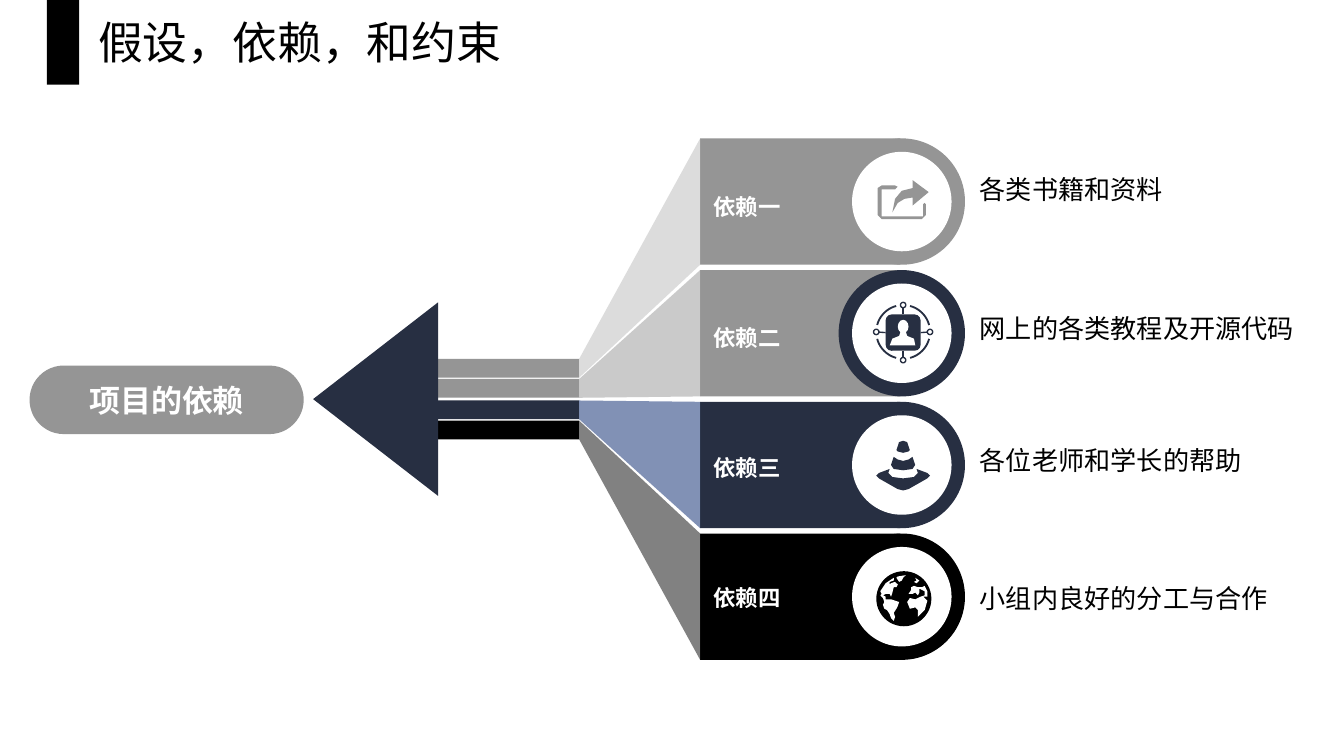
from dataclasses import dataclass
from math import cos, radians, sin

from lxml import etree
from pptx import Presentation
from pptx.dml.color import RGBColor
from pptx.enum.shapes import MSO_CONNECTOR, MSO_SHAPE as Shape
from pptx.enum.text import MSO_ANCHOR as Anchor, MSO_AUTO_SIZE as AutoSize, PP_ALIGN as Align
from pptx.oxml.ns import qn
from pptx.util import Pt

PX = 9144  # EMU per px, 100 px to the inch
SLIDE_WIDTH = 1000
FONT = "Noto Sans CJK SC"
BLACK, WHITE, NAVY, GRAY = "000000", "FFFFFF", "272F42", "959595"

BAND_LEFT, BAND_TOP, BAND_PITCH, BAND_HEIGHT = 521, 103, 98, 94
STRIPE_LEFT, STRIPE_RIGHT, STRIPE_TOP, STRIPE_PITCH, STRIPE_HEIGHT = 317, 431, 267, 15.4, 14
DISC_LEFT, DISC_INSET = 624, 10

Points = list[tuple[float, float]]


@dataclass
class Dependency:
    label: str
    note: str
    note_top: int
    band: str
    ring: str
    ribbon: str


DEPENDENCIES = [
    Dependency("依赖一", "各类书籍和资料", 124, GRAY, GRAY, "D5D5D5"),
    Dependency("依赖二", "网上的各类教程及开源代码", 228, GRAY, NAVY, "BFBFBF"),
    Dependency("依赖三", "各位老师和学长的帮助", 326, NAVY, NAVY, "6679A5"),
    Dependency("依赖四", "小组内良好的分工与合作", 429, BLACK, BLACK, "666666"),
]

# Icon outlines
SHARE_TRAY = [(686, 163), (656, 163), (653, 160), (653, 140), (656, 138), (666, 138), (668, 139),
              (666, 141), (656, 141), (656, 161), (687, 161), (687, 152), (688, 151), (689, 152),
              (689, 160)]
SHARE_ARROW = [(679, 153), (691, 143), (679, 134), (679, 140), (671, 142), (666, 148), (664, 158),
               (668, 151), (673, 148), (679, 147)]
PERSON_BODY = [(662, 257), (664, 252), (669, 250), (670, 247), (674, 247), (675, 250), (680, 252),
               (681, 257)]
CONE = [
    [(690, 352), (682, 349), (683, 352), (680, 355), (672, 356), (664, 355), (661, 352), (662, 349),
     (654, 352), (652, 354), (654, 356), (668, 364), (672, 365), (676, 364), (690, 356), (692, 354)],
    [(672, 337), (676, 336), (677, 335), (675, 329), (672, 328), (669, 329), (667, 335), (668, 336)],
    [(672, 350), (679, 349), (681, 346), (679, 340), (676, 342), (672, 343), (668, 342), (665, 340),
     (663, 346), (665, 349)],
]
CONTINENTS = [
    [(668, 451), (667, 453), (665, 456), (666, 459), (665, 462), (663, 460), (662, 457), (660, 454),
     (658, 453), (657, 450), (658, 448), (657, 445), (655, 443), (656, 442), (655, 440), (659, 434),
     (665, 430), (665, 432), (662, 433), (662, 435), (663, 434), (666, 433), (668, 435), (667, 437),
     (665, 437), (664, 441), (663, 444), (662, 442), (659, 442), (657, 443), (659, 444), (659, 446),
     (663, 446), (666, 447), (669, 448)],
    [(672, 430), (671, 432), (669, 433), (667, 430), (668, 429), (674, 428)],
    [(689, 446), (690, 447), (688, 454), (683, 459), (683, 454), (681, 452), (677, 453), (675, 448),
     (677, 445), (681, 446), (685, 444), (688, 443), (688, 440), (684, 438), (684, 441), (683, 443),
     (681, 441), (679, 442), (676, 442), (678, 439), (678, 437), (680, 436), (683, 437), (686, 437),
     (688, 436), (690, 440), (690, 444), (687, 444)],
    [(680, 433), (682, 432), (681, 430), (684, 432), (682, 434)],
]


def px(length: float) -> int:
    return round(length * PX)


def rgb(color: str) -> RGBColor:
    return RGBColor.from_string(color)


def paint(shape, color: str) -> None:
    shape.shadow.inherit = False
    shape.fill.solid()
    shape.fill.fore_color.rgb = rgb(color)
    shape.line.fill.background()


def add_preset(shapes, kind: Shape, left, top, width, height, color: str):
    shape = shapes.add_shape(kind, px(left), px(top), px(width), px(height))
    paint(shape, color)
    return shape


def trace(shapes, contours: list[Points], close: bool = True):
    """One freeform holding every contour."""
    outlines = [[(px(x), px(y)) for x, y in contour] for contour in contours]
    builder = shapes.build_freeform(*outlines[0][0], scale=1.0)
    for number, outline in enumerate(outlines):
        if number:
            builder.move_to(*outline[0])
        builder.add_line_segments(outline[1:], close=close)
    return builder.convert_to_shape()


def add_polygon(shapes, contours: list[Points], color: str, opacity: int = 100) -> None:
    shape = trace(shapes, contours)
    paint(shape, color)
    if opacity < 100:
        tint = shape._element.spPr.find(qn("a:solidFill")).find(qn("a:srgbClr"))
        etree.SubElement(tint, qn("a:alpha")).set("val", str(opacity * 1000))


def write(shape, text: str, size: float, color: str, bold: bool = False, wrap: bool = False,
          anchor: Anchor = Anchor.TOP, align: Align = Align.LEFT, spacing: float = 1.0) -> None:
    frame = shape.text_frame
    frame.text = text
    frame.auto_size, frame.word_wrap, frame.vertical_anchor = AutoSize.NONE, wrap, anchor
    line = frame.paragraphs[0]
    line.alignment, line.line_spacing = align, spacing
    font = line.font
    font.size, font.bold, font.name, font.color.rgb = Pt(size), bold, FONT, rgb(color)
    etree.SubElement(font._element, qn("a:ea")).set("typeface", FONT)


def add_label(shapes, left, top, width, height, text: str, size: float, color: str, **style) -> None:
    box = shapes.add_textbox(px(left), px(top), px(width), px(height))
    frame = box.text_frame
    frame.margin_left = frame.margin_top = frame.margin_right = frame.margin_bottom = 0
    write(box, text, size, color, **style)


def draw_dependency(shapes, index: int, item: Dependency) -> None:
    top = BAND_TOP + BAND_PITCH * index
    stripe = round(STRIPE_TOP + STRIPE_PITCH * index)
    add_preset(shapes, Shape.RECTANGLE, BAND_LEFT, top, 149, BAND_HEIGHT, item.band)
    add_preset(shapes, Shape.RECTANGLE, STRIPE_LEFT, stripe, STRIPE_RIGHT - STRIPE_LEFT,
               STRIPE_HEIGHT, item.band)
    add_polygon(shapes, [[(STRIPE_RIGHT, stripe), (BAND_LEFT, top), (BAND_LEFT, top + BAND_HEIGHT),
                          (STRIPE_RIGHT, stripe + STRIPE_HEIGHT)]], item.ribbon, opacity=82)
    for inset, color in ((0, item.ring), (DISC_INSET, WHITE)):
        side = BAND_HEIGHT - 2 * inset
        add_preset(shapes, Shape.OVAL, DISC_LEFT + inset, top + inset, side, side, color)
    add_label(shapes, 531, 131 + 97 * index, 120, 46, item.label, 12, WHITE, bold=True,
              anchor=Anchor.MIDDLE)
    add_label(shapes, 729, item.note_top, 236, 43, item.note, 14, BLACK, wrap=True, spacing=1.2)


def draw_network_icon(shapes) -> None:
    center_x, center_y, radius = 672, 247, 20
    # Broken ring
    arcs = [[(center_x + radius * cos(radians(a)), center_y + radius * sin(radians(a)))
             for a in range(start + 15, start + 76, 5)] for start in range(0, 360, 90)]
    ring = trace(shapes, arcs, close=False)
    ring.shadow.inherit = False
    ring.fill.background()
    ring.line.color.rgb, ring.line.width = rgb(NAVY), Pt(1)
    # Portrait and its four linked nodes
    portrait = add_preset(shapes, Shape.ROUNDED_RECTANGLE, 659, 234, 26, 27, NAVY)
    nodes = [(672, 227), (652, 247), (672, 268), (692, 247)]
    for side, (x, y) in enumerate(nodes):
        link = shapes.add_connector(MSO_CONNECTOR.STRAIGHT, px(x), px(y), px(x), px(y))
        link.begin_connect(portrait, side)
        link.line.color.rgb, link.line.width = rgb(NAVY), Pt(0.75)
        etree.SubElement(link._element.spPr, qn("a:effectLst"))
        node = add_preset(shapes, Shape.OVAL, x - 2, y - 2, 4, 4, WHITE)
        node.line.color.rgb, node.line.width = rgb(NAVY), Pt(0.75)
    add_preset(shapes, Shape.OVAL, 668, 238, 8, 10, WHITE)
    add_polygon(shapes, [PERSON_BODY], WHITE)


def main() -> None:
    deck = Presentation()
    deck.slide_width = px(SLIDE_WIDTH)
    deck.slide_height = px(SLIDE_WIDTH * 9 / 16)
    slide = deck.slides.add_slide(deck.slide_layouts[5])
    shapes = slide.shapes

    # Heading
    title = shapes.title
    title.left, title.top, title.width, title.height = px(63), px(6), px(325), px(50)
    write(title, "假设，依赖，和约束", 24, BLACK, wrap=True)
    add_preset(shapes, Shape.RECTANGLE, 35, 0, 24, 63, BLACK)

    # Dependencies flowing into the arrow
    for index, item in enumerate(DEPENDENCIES):
        draw_dependency(shapes, index, item)
    add_polygon(shapes, [[(233, 297), (326, 225), (326, 369)]], NAVY)
    goal = add_preset(shapes, Shape.ROUNDED_RECTANGLE, 22, 272, 204, 51, GRAY)
    goal.adjustments[0] = 0.5
    write(goal, "项目的依赖", 16.6, WHITE, bold=True, anchor=Anchor.MIDDLE, align=Align.CENTER)

    # Icons
    add_polygon(shapes, [SHARE_TRAY], GRAY)
    add_polygon(shapes, [SHARE_ARROW], GRAY)
    draw_network_icon(shapes)
    add_polygon(shapes, CONE, NAVY)
    add_preset(shapes, Shape.OVAL, 652, 425, 41, 41, BLACK)
    add_polygon(shapes, CONTINENTS, WHITE)

    deck.save("out.pptx")


if __name__ == "__main__":
    main()
